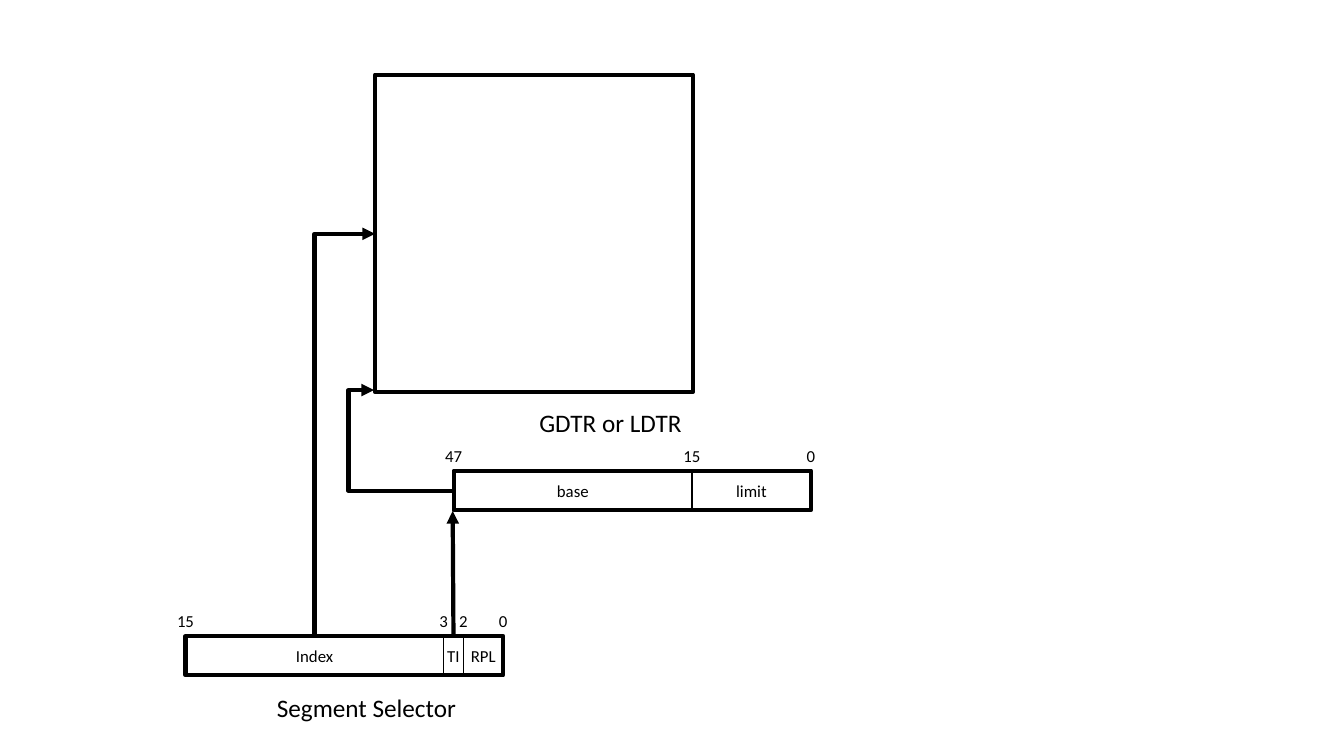
from lxml import etree
from pptx import Presentation
from pptx.dml.color import RGBColor
from pptx.enum.dml import MSO_LINE
from pptx.enum.shapes import MSO_CONNECTOR, MSO_SHAPE
from pptx.enum.text import MSO_ANCHOR, PP_ALIGN
from pptx.oxml.ns import qn
from pptx.util import Inches, Pt

RECT = MSO_SHAPE.RECTANGLE
STRAIGHT, ELBOW = MSO_CONNECTOR.STRAIGHT, MSO_CONNECTOR.ELBOW
SOLID = MSO_LINE.SOLID
CENTER, MIDDLE, TOP = PP_ALIGN.CENTER, MSO_ANCHOR.MIDDLE, MSO_ANCHOR.TOP

BIT = 3.15 / 16      # width of one selector bit
BAR_H = 0.39
LABEL_H = 0.3


def rgb(value):
    return RGBColor.from_string(value)


class Diagram:
    """Style and current slide, with one method per kind of element."""
    ink, font = "000000", "Calibri"
    thick, thin = 3, 1
    small, large = 12, 18

    def __init__(self, slide):
        self.slide = slide
        self.shapes = slide.shapes

    def stroke(self, line, width):
        line.color.rgb = rgb(self.ink)
        for name, value in {"width": Pt(width), "dash_style": SOLID}.items():
            setattr(line, name, value)

    def fill_text(self, sp, text, size, anchor):
        tf = sp.text_frame
        frame = {"word_wrap": True, "vertical_anchor": anchor,
                 "margin_left": 0, "margin_right": 0,
                 "margin_top": Inches(0.05), "margin_bottom": Inches(0.05)}
        for name, value in frame.items():
            setattr(tf, name, value)
        p = tf.paragraphs[0]
        p.alignment = CENTER
        r = p.add_run()
        r.text = text
        for name, value in {"size": Pt(size), "name": self.font}.items():
            setattr(r.font, name, value)
        r.font.color.rgb = rgb(self.ink)

    def box(self, x, y, w, h, width, text=None):
        sp = self.shapes.add_shape(RECT, *map(Inches, (x, y, w, h)))
        sp.shadow.inherit = False
        sp.fill.background()
        self.stroke(sp.line, width)
        if text:
            self.fill_text(sp, text, self.small, MIDDLE)
        return sp

    def text(self, x, y, w, h, text, size):
        sp = self.shapes.add_textbox(*map(Inches, (x, y, w, h)))
        self.fill_text(sp, text, size, TOP)

    def bar(self, x, y, fields, marks):
        """Draw a register: fields as (name, units), marks as (label, unit)."""
        self.box(x, y, sum(n for _, n in fields) * BIT, BAR_H, self.thick)
        cells, left = {}, x
        for name, units in fields:
            cells[name] = self.box(left, y, units * BIT, BAR_H, self.thin, name)
            left += units * BIT
        for label, unit in marks:
            w = 0.2 * len(label)
            self.text(x + unit * BIT - w / 2, y - LABEL_H, w, LABEL_H,
                      label, self.small)
        return cells

    def arrow(self, kind, start, end):
        c = self.shapes.add_connector(kind, *map(Inches, start + end))
        self.stroke(c.line, self.thick)
        ln = c.line._get_or_add_ln()
        etree.SubElement(ln, qn("a:tailEnd"), type="triangle")
        etree.SubElement(c._element.spPr, qn("a:effectLst"))
        return c

    def corner_arrow(self, start, end):
        """One bend: up from start, then right to end."""
        (x1, y1), (x2, y2) = start, end
        cx, cy = (x1 + x2) / 2, (y1 + y2) / 2
        dx, dy = (y1 - y2) / 2, (x2 - x1) / 2
        c = self.arrow(ELBOW, (cx + dx, cy + dy), (cx - dx, cy - dy))
        spPr = c._element.spPr
        spPr.find(qn("a:xfrm")).set("rot", "5400000")
        spPr.find(qn("a:prstGeom")).set("prst", "bentConnector2")

    def detour_arrow(self, start, end, bend):
        """Two bends; bend is the middle leg's place as a share of the width."""
        c = self.arrow(ELBOW, start, end)
        geom = c._element.spPr.find(qn("a:prstGeom"))
        av = geom.find(qn("a:avLst"))
        if av is None:
            av = etree.SubElement(geom, qn("a:avLst"))
        etree.SubElement(av, qn("a:gd"), name="adj1",
                         fmla=f"val {round(bend * 100000)}")


def main():
    prs = Presentation()
    prs.slide_width, prs.slide_height = Inches(13.33), Inches(7.5)
    s = prs.slides.add_slide(prs.slide_layouts[6])
    d = Diagram(s)

    # Segment selector, grouped
    d.shapes = s.shapes.add_group_shape().shapes
    selector = d.bar(1.84, 6.31, [("Index", 13), ("TI", 1), ("RPL", 2)],
                     [("15", 0), ("3", 13), ("2", 14), ("0", 16)])
    d.shapes = s.shapes

    # Descriptor table
    d.box(3.72, 0.74, 3.15, 3.15, d.thick)

    # Table register
    d.bar(4.5, 4.67, [("base", 12), ("limit", 6)],
          [("47", 0), ("15", 12), ("0", 18)])

    # Captions
    d.text(2.57, 6.82, 2.13, 0.4, "Segment Selector", d.large)
    d.text(4.99, 3.99, 2.13, 0.4, "GDTR or LDTR", d.large)

    # Arrows
    d.corner_arrow((3.12, 6.31), (3.72, 2.32))
    d.arrow(STRAIGHT, (4.5, 6.31), (4.49, 5.07)).begin_connect(selector["TI"], 0)
    d.detour_arrow((4.5, 4.87), (3.71, 3.87), 1.32)

    prs.save("out.pptx")


if __name__ == "__main__":
    main()
